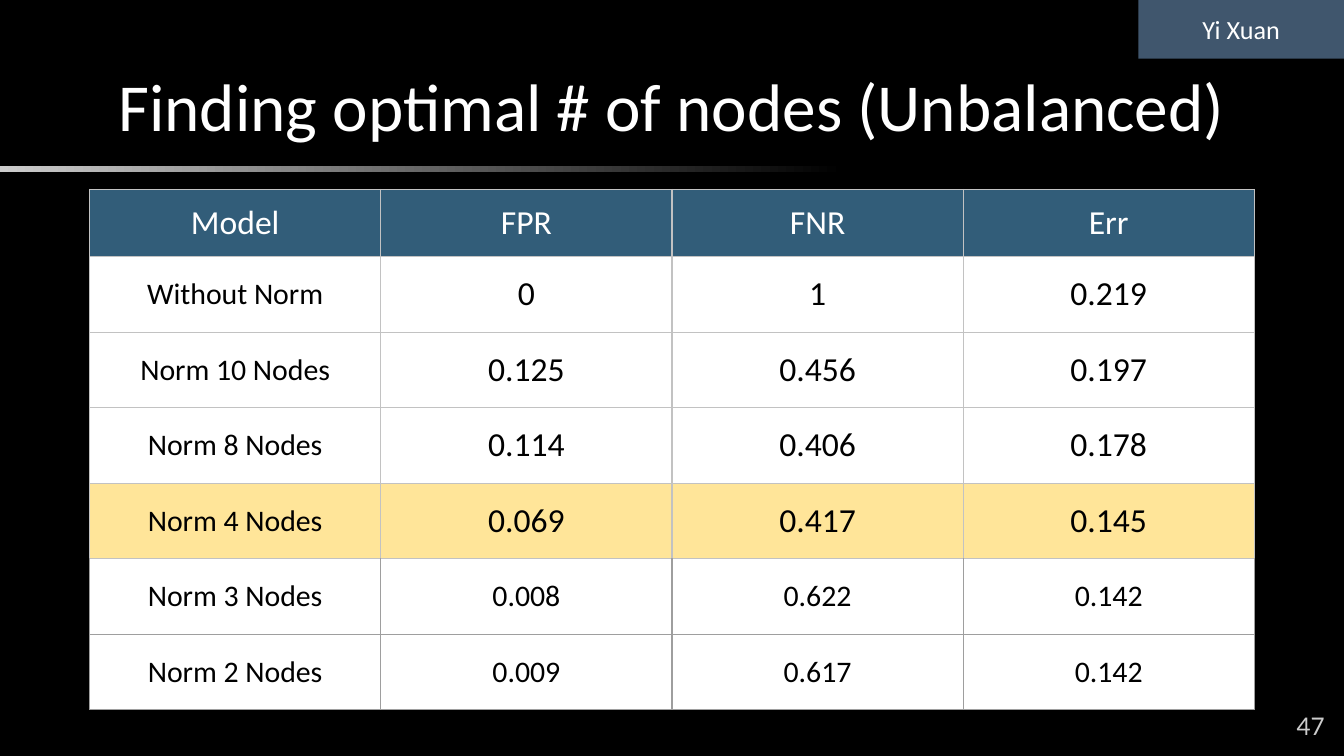
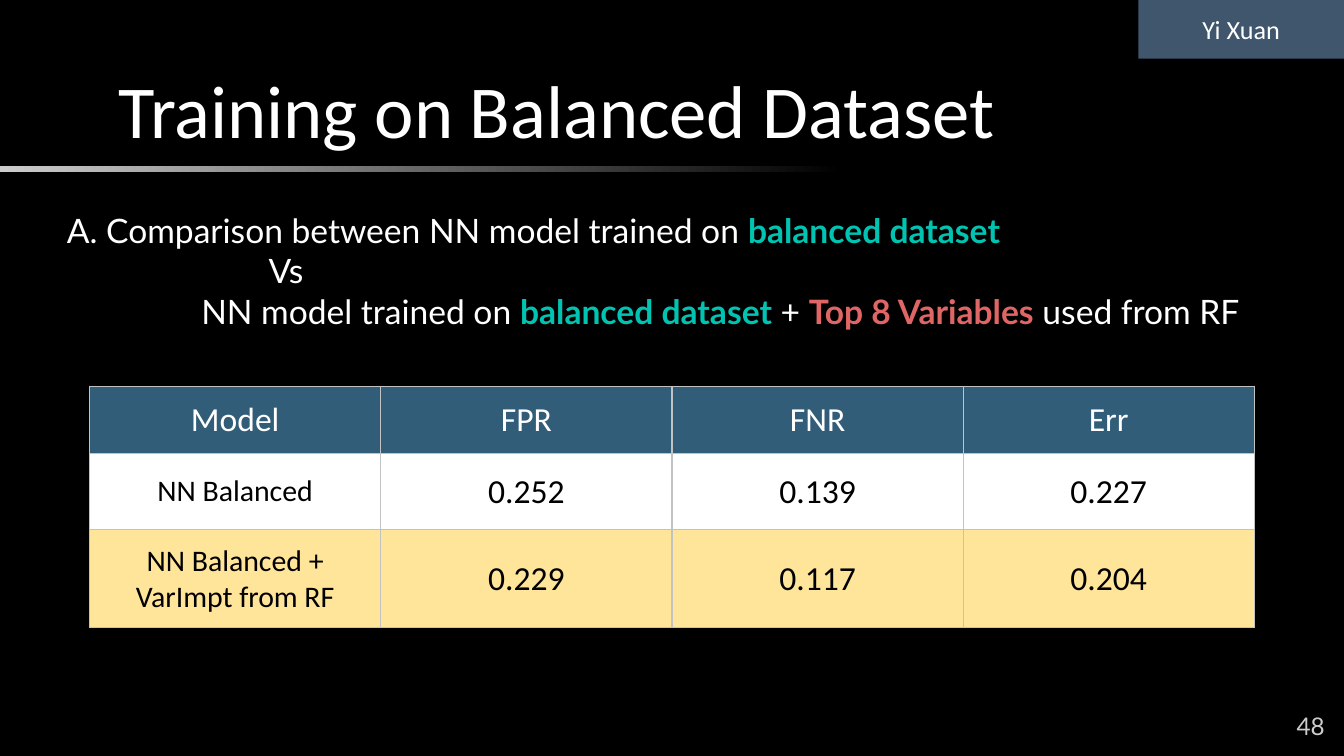
from lxml.etree import SubElement
from pptx import Presentation
from pptx.dml.color import RGBColor
from pptx.enum.shapes import MSO_SHAPE
from pptx.enum.text import MSO_ANCHOR, PP_ALIGN
from pptx.oxml.ns import qn
from pptx.util import Inches, Pt

SLIDE_WIDTH, SLIDE_HEIGHT = Inches(10), Inches(5.625)
COLUMN, ROW = SLIDE_WIDTH / 100, SLIDE_HEIGHT / 56.25
INSET = Inches(0.1)
HEADING_FONT, BODY_FONT = "Calibri", "Lato"
BLACK, WHITE, SILVER = "000000", "FFFFFF", "CCCCCC"
NAVY, SLATE, YELLOW = "325D79", "40566D", "FFE599"
TEAL, RED = "00C3B1", "E06666"
LIGHT_BORDER, DARK_BORDER = "C2C2C2", "9E9E9E"
PRESENTER = "Yi Xuan"
HEADINGS = ("Model", "FPR", "FNR", "Err")

UNBALANCED_RESULTS = [
    ("Without Norm", "0", "1", "0.219"),
    ("Norm 10 Nodes", "0.125", "0.456", "0.197"),
    ("Norm 8 Nodes", "0.114", "0.406", "0.178"),
    ("Norm 4 Nodes", "0.069", "0.417", "0.145"),
    ("Norm 3 Nodes", "0.008", "0.622", "0.142"),
    ("Norm 2 Nodes", "0.009", "0.617", "0.142"),
]
BALANCED_RESULTS = [
    ("NN Balanced", "0.252", "0.139", "0.227"),
    ("NN Balanced + VarImpt from RF", "0.229", "0.117", "0.204"),
]
COMPARISON = [
    (0, 0, [("A. Comparison between NN model trained on ", WHITE), ("balanced dataset", TEAL)]),
    (1, 0.5, [("Vs", WHITE)]),
    (1, 0, [("NN model trained on ", WHITE), ("balanced dataset", TEAL), (" + ", WHITE),
            ("Top 8 Variables", RED), (" used from RF", WHITE)]),
]


def color(hex_string):
    """Turn a hex string into a colour."""
    return RGBColor.from_string(hex_string)


def grid_box(left, top, width, height):
    """Convert columns and rows of the slide grid to lengths."""
    return round(left * COLUMN), round(top * ROW), round(width * COLUMN), round(height * ROW)


def write(paragraph, text, size=18, font=HEADING_FONT, fill=WHITE, bold=False, align=PP_ALIGN.LEFT):
    """Add one formatted run to a paragraph."""
    paragraph.alignment = align
    run = paragraph.add_run()
    run.text = text
    run.font.size, run.font.name, run.font.bold = Pt(size), font, bold
    run.font.color.rgb = color(fill)


def set_insets(holder):
    """Give a text frame or a table cell equal margins."""
    holder.margin_left = holder.margin_right = INSET
    holder.margin_top = holder.margin_bottom = INSET


def prepare_frame(shape, anchor=MSO_ANCHOR.TOP):
    """Return the wrapped and inset text frame of a shape."""
    frame = shape.text_frame
    frame.word_wrap, frame.vertical_anchor = True, anchor
    set_insets(frame)
    return frame


def add_bar(slide, box):
    """Add a rectangle without line or shadow."""
    shape = slide.shapes.add_shape(MSO_SHAPE.RECTANGLE, *box)
    shape.shadow.inherit = False
    shape.line.fill.background()
    return shape


def add_title_rule(slide, box):
    """Add the band that fades out below the title."""
    fill = add_bar(slide, box).fill
    fill.gradient()
    fill.gradient_angle = 0
    for stop, position, shade in zip(fill.gradient_stops, (0, 1), (SILVER, BLACK)):
        stop.position, stop.color.rgb = position, color(shade)


def add_presenter_tag(slide, box):
    """Add the presenter's name in the top corner."""
    tag = add_bar(slide, box)
    tag.fill.solid()
    tag.fill.fore_color.rgb = color(SLATE)
    frame = prepare_frame(tag)
    write(frame.paragraphs[0], PRESENTER, size=14, align=PP_ALIGN.CENTER)


def add_label(slide, box, text, **text_format):
    """Add a text box holding one line."""
    frame = prepare_frame(slide.shapes.add_textbox(*box))
    write(frame.paragraphs[0], text, **text_format)


def add_comparison(slide, box):
    """Add the indented lines that name the compared models."""
    frame = prepare_frame(slide.shapes.add_textbox(*box))
    for index, (margin, indent, runs) in enumerate(COMPARISON):
        paragraph = frame.add_paragraph() if index else frame.paragraphs[0]
        properties = paragraph._p.get_or_add_pPr()
        properties.set("marL", str(Inches(margin)))
        properties.set("indent", str(Inches(indent)))
        for text, fill in runs:
            write(paragraph, text, font=BODY_FONT, fill=fill, bold=fill != WHITE)


def set_borders(cell, side_color, top_color):
    """Draw thin lines on the four sides of a cell."""
    properties = cell._tc.get_or_add_tcPr()
    for side in "LRTB":
        line = SubElement(properties, qn(f"a:ln{side}"), w=str(Pt(0.75)))
        fill = SubElement(line, qn("a:solidFill"))
        SubElement(fill, qn("a:srgbClr"), val=top_color if side == "T" else side_color)


def fill_cell(cell, text, background, borders, anchor=MSO_ANCHOR.MIDDLE, **text_format):
    """Style one table cell and write its text."""
    set_insets(cell)
    cell.vertical_anchor = anchor
    set_borders(cell, *borders)
    cell.fill.solid()
    cell.fill.fore_color.rgb = color(background)
    write(cell.text_frame.paragraphs[0], text, align=PP_ALIGN.CENTER, **text_format)


def add_results_table(slide, box, results, best_row):
    """Add a results table whose rows after the best one are smaller and darker ruled."""
    table = slide.shapes.add_table(len(results) + 1, len(HEADINGS), *box).table
    for row_index, row in enumerate(table.rows):
        row.height = round((5.62 if row_index else 4.6) * ROW)
    for column, heading in enumerate(HEADINGS):
        fill_cell(table.cell(0, column), heading, NAVY, (LIGHT_BORDER, LIGHT_BORDER),
                  anchor=MSO_ANCHOR.TOP)
    for row_index, values in enumerate(results, start=1):
        background = YELLOW if row_index == best_row else WHITE
        after_best = row_index > best_row
        borders = (DARK_BORDER if after_best else LIGHT_BORDER,
                   DARK_BORDER if row_index > best_row + 1 else LIGHT_BORDER)
        for column, value in enumerate(values):
            size = 16 if column == 0 or after_best else 18
            fill_cell(table.cell(row_index, column), value, background, borders,
                      size=size, fill=BLACK)


def add_slide(presentation, title, title_size, title_width, number):
    """Add a slide with the title, rule, tag and number that all slides share."""
    slide = presentation.slides.add_slide(presentation.slide_layouts[6])
    add_title_rule(slide, grid_box(0, 12.35, 62.8, 0.45))
    add_label(slide, grid_box(7.83, 3.78, title_width, 6.3), title, size=title_size)
    add_presenter_tag(slide, grid_box(84.7, 0, 15.3, 4.36))
    add_label(slide, grid_box(93.55, 51.9, 6, 4.3), str(number), size=13, font=BODY_FONT,
              fill=SILVER, align=PP_ALIGN.RIGHT)
    return slide


def main():
    """Build and save the two slides."""
    presentation = Presentation()
    presentation.slide_width, presentation.slide_height = SLIDE_WIDTH, SLIDE_HEIGHT
    background = presentation.slide_master.background.fill
    background.solid()
    background.fore_color.rgb = color(BLACK)

    nodes = add_slide(presentation, "Finding optimal # of nodes (Unbalanced)", 36, 90.7, 47)
    add_results_table(nodes, grid_box(6.67, 14.1, 86.67, 38.3), UNBALANCED_RESULTS, best_row=4)

    balanced = add_slide(presentation, "Training on Balanced Dataset", 40, 84.4, 48)
    add_comparison(balanced, grid_box(4, 14.63, 92, 14.1))
    add_results_table(balanced, grid_box(6.67, 28.76, 86.67, 15.8), BALANCED_RESULTS, best_row=2)
    presentation.save("out.pptx")


if __name__ == "__main__":
    main()
